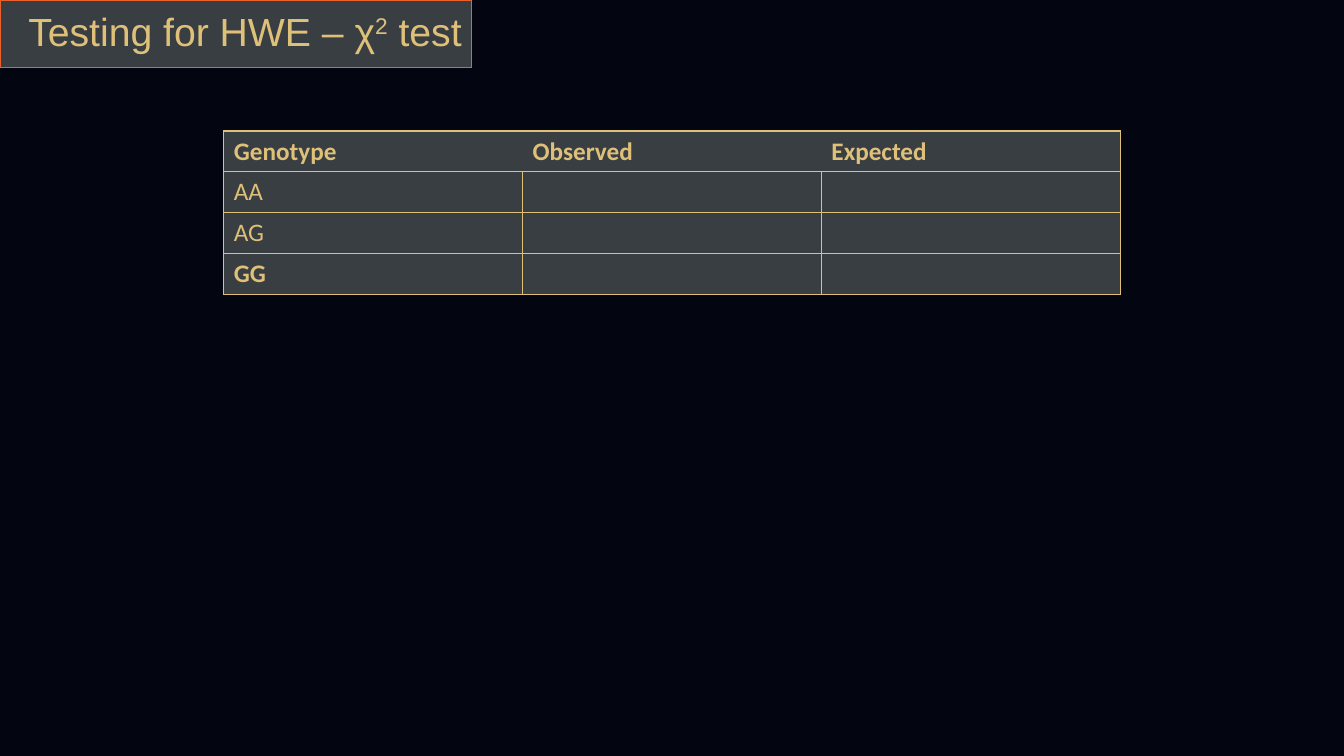
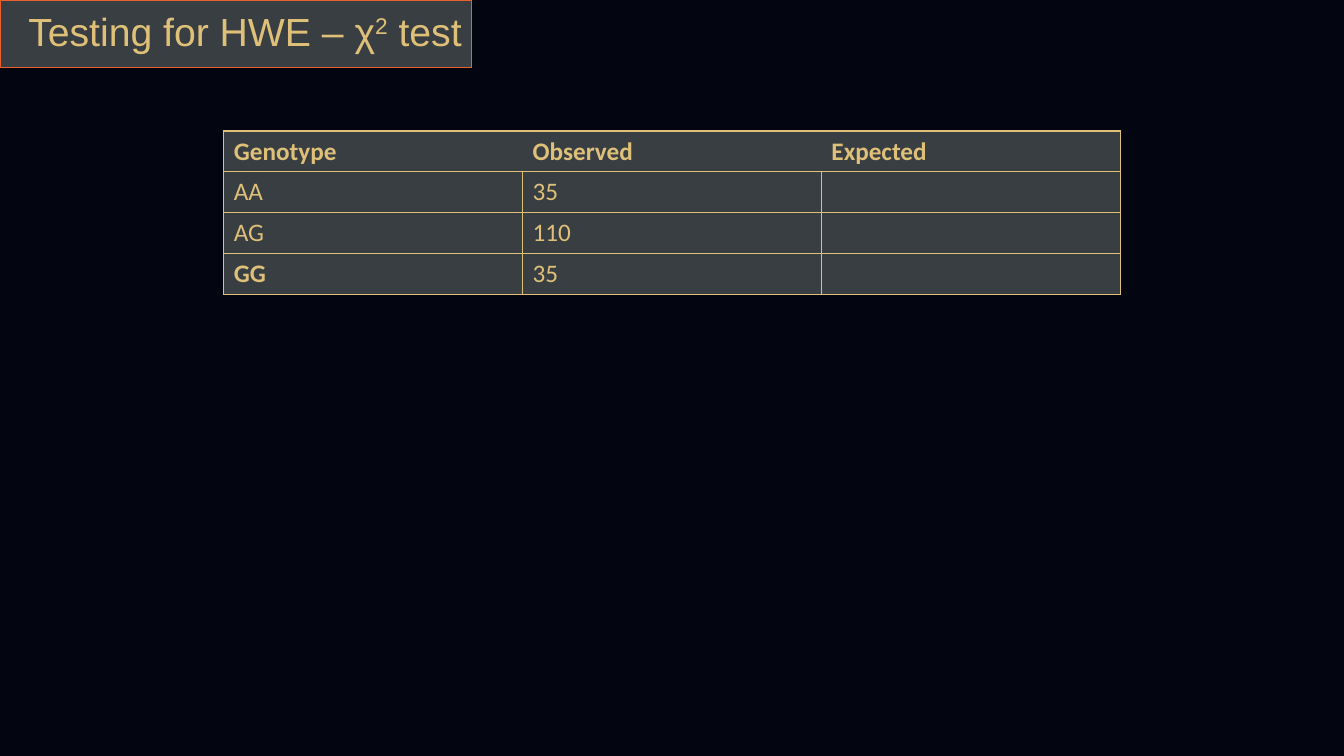
"""Build two slides on testing for HWE with a chi-squared test."""
from lxml.etree import SubElement
from pptx import Presentation
from pptx.dml.color import RGBColor as RGB
from pptx.enum.text import MSO_ANCHOR as Anchor, MSO_AUTO_SIZE as Fit, PP_ALIGN as Align
from pptx.oxml.ns import qn
from pptx.util import Cm, Pt

NIGHT = RGB(0x03, 0x05, 0x11)
SLATE = RGB(0x39, 0x3E, 0x42)
GOLD = RGB(0xDE, 0xC0, 0x79)
FLAME = RGB(0xEB, 0x61, 0x2E)

TITLE = [("Testing for HWE – χ", 0), ("2", 30000), (" test", 0)]
HEAD = ("Genotype", "Observed", "Expected")
TYPES = ("AA", "AG", "GG")
COUNTS = [("", "", ""), ("35", "110", "35")]

BAND = {"left": 0, "top": 0, "width": Cm(11.89), "height": Cm(1.71)}
LEFT, TOP, COL, ROW = Cm(5.64), Cm(3.3), Cm(7.53), Cm(1.03)
RULE = Pt(1)


def style(item, **values):
    for name, value in values.items():
        setattr(item, name, value)


def add_title(slide):
    title = slide.shapes.title
    style(title, **BAND)
    title.fill.solid()
    title.fill.fore_color.rgb = SLATE
    title.line.color.rgb = FLAME
    title.line.width = Pt(0.75)
    frame = title.text_frame
    style(frame, auto_size=Fit.NONE, word_wrap=True, vertical_anchor=Anchor.MIDDLE)
    para = frame.paragraphs[0]
    style(para, alignment=Align.RIGHT, line_spacing=0.9)
    for text, lift in TITLE:
        run = para.add_run()
        run.text = text
        style(run.font, size=Pt(28), name="Arial")
        run.font.color.rgb = GOLD
        if lift:
            run.font._element.set("baseline", str(lift))


def add_edge(cell, side, shown):
    line = SubElement(cell._tc.get_or_add_tcPr(), qn(f"a:ln{side}"), w=str(RULE))
    if shown:
        fill = SubElement(line, qn("a:solidFill"))
        SubElement(fill, qn("a:srgbClr"), val=str(GOLD))
    else:
        SubElement(line, qn("a:noFill"))


def add_cell(cell, text, bold, edges):
    for side, shown in edges.items():
        add_edge(cell, side, shown)
    cell.fill.solid()
    cell.fill.fore_color.rgb = SLATE
    cell.text = text
    font = cell.text_frame.paragraphs[0].font
    style(font, size=Pt(18), name="Calibri", bold=bold)
    font.color.rgb = GOLD


def add_grid(slide, counts):
    rows = [HEAD] + [(kind, count, "") for kind, count in zip(TYPES, counts)]
    wide, high = len(HEAD), len(rows)
    grid = slide.shapes.add_table(high, wide, LEFT, TOP, COL * wide, ROW * high).table
    style(grid, first_row=False, horz_banding=False)
    for r, row in enumerate(rows):
        grid.rows[r].height = ROW
        for c, text in enumerate(row):
            edges = {"L": r > 0 or c == 0, "R": r > 0 or c == wide - 1,
                     "T": True, "B": True}
            bold = r == 0 or text == "GG"
            add_cell(grid.cell(r, c), text, bold, edges)


def main():
    deck = Presentation()
    style(deck, slide_width=Cm(33.87), slide_height=Cm(19.05))
    back = deck.slide_master.background.fill
    back.solid()
    back.fore_color.rgb = NIGHT
    for counts in COUNTS:
        slide = deck.slides.add_slide(deck.slide_layouts[5])
        add_title(slide)
        add_grid(slide, counts)
    deck.save("out.pptx")


if __name__ == "__main__":
    main()
